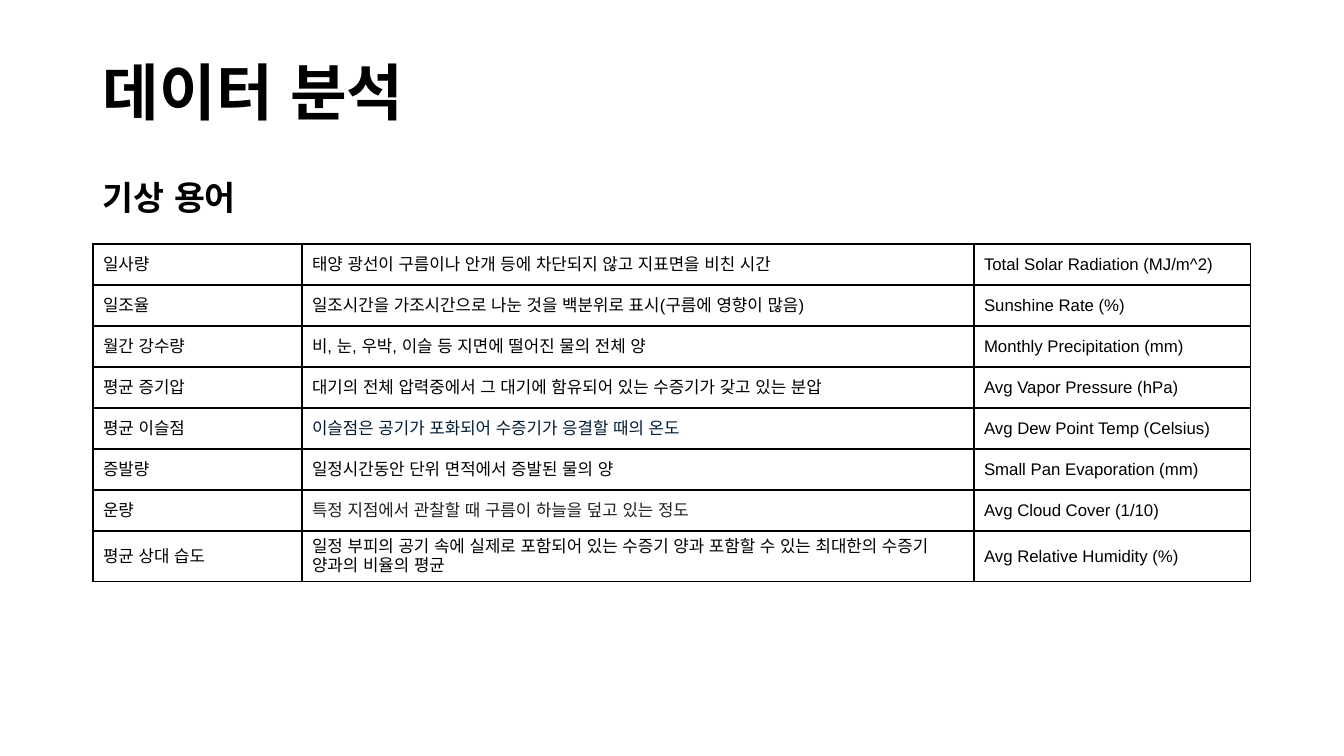
from lxml.etree import SubElement
from pptx import Presentation
from pptx.dml.color import RGBColor
from pptx.enum.lang import MSO_LANGUAGE_ID
from pptx.enum.text import MSO_ANCHOR
from pptx.oxml.ns import qn
from pptx.util import Emu, Pt

FONT = "Arial"
BLACK = RGBColor(0x00, 0x00, 0x00)
NAVY = RGBColor(0x00, 0x1D, 0x35)
CHARCOAL = RGBColor(0x20, 0x21, 0x22)

PIXELS_PER_INCH = 100.8
LEFT, CONTENT_WIDTH = 93, 1159
COLUMN_WIDTHS = (209, 672, 277)
ROW_HEIGHT = 41

WEATHER_TERMS = (
    ("일사량", "태양 광선이 구름이나 안개 등에 차단되지 않고 지표면을 비친 시간",
     "Total Solar Radiation (MJ/m^2)"),
    ("일조율", "일조시간을 가조시간으로 나눈 것을 백분위로 표시(구름에 영향이 많음)",
     "Sunshine Rate (%)"),
    ("월간 강수량", "비, 눈, 우박, 이슬 등 지면에 떨어진 물의 전체 양",
     "Monthly Precipitation (mm)"),
    ("평균 증기압", "대기의 전체 압력중에서 그 대기에 함유되어 있는 수증기가 갖고 있는 분압",
     "Avg Vapor Pressure (hPa)"),
    ("평균 이슬점", "이슬점은 공기가 포화되어 수증기가 응결할 때의 온도",
     "Avg Dew Point Temp (Celsius)"),
    ("증발량", "일정시간동안 단위 면적에서 증발된 물의 양",
     "Small Pan Evaporation (mm)"),
    ("운량", "특정 지점에서 관찰할 때 구름이 하늘을 덮고 있는 정도",
     "Avg Cloud Cover (1/10)"),
    ("평균 상대 습도",
     "일정 부피의 공기 속에 실제로 포함되어 있는 수증기 양과 포함할 수 있는 최대한의 수증기 양과의 비율의 평균",
     "Avg Relative Humidity (%)"),
)
DESCRIPTION_COLORS = {"평균 이슬점": NAVY, "운량": CHARCOAL}


def px(length):
    return Emu(round(length * 914400 / PIXELS_PER_INCH))


def write_text(frame, text, size=12, color=BLACK, bold=False, line_spacing=None):
    para = frame.paragraphs[0]
    para.line_spacing = line_spacing
    span = para.add_run()
    span.text = text
    font = span.font
    font.name, font.size, font.bold = FONT, Pt(size), bold
    font.color.rgb = color
    font.language_id = MSO_LANGUAGE_ID.KOREAN
    SubElement(span._r.get_or_add_rPr(), qn("a:ea"), typeface=FONT)


def add_heading(page, text, top, height, size, anchor):
    box = page.shapes.add_textbox(px(LEFT), px(top), px(CONTENT_WIDTH), px(height))
    frame = box.text_frame
    frame.word_wrap = True
    frame.vertical_anchor = anchor
    write_text(frame, text, size=size, bold=True, line_spacing=0.9)


def add_borders(cell):
    properties = cell._tc.get_or_add_tcPr()
    for side in ("lnL", "lnR", "lnT", "lnB"):
        line = SubElement(properties, qn(f"a:{side}"), w=str(Pt(1)))
        fill = SubElement(line, qn("a:solidFill"))
        SubElement(fill, qn("a:srgbClr"), val=str(BLACK))


def add_terms_table(page, top):
    table = page.shapes.add_table(
        len(WEATHER_TERMS), len(COLUMN_WIDTHS), px(LEFT), px(top),
        px(sum(COLUMN_WIDTHS)), px(ROW_HEIGHT * len(WEATHER_TERMS))).table
    table.first_row = table.horz_banding = False
    for column, width in zip(table.columns, COLUMN_WIDTHS):
        column.width = px(width)
    for row, term in zip(table.rows, WEATHER_TERMS):
        row.height = px(ROW_HEIGHT)
        colors = (BLACK, DESCRIPTION_COLORS.get(term[0], BLACK), BLACK)
        for cell, text, color in zip(row.cells, term, colors):
            cell.vertical_anchor = MSO_ANCHOR.MIDDLE
            add_borders(cell)
            cell.fill.background()
            write_text(cell.text_frame, text, color=color)


def main():
    deck = Presentation()
    deck.slide_width, deck.slide_height = px(1344), px(756)
    page = deck.slides.add_slide(deck.slide_layouts[6])
    add_heading(page, "데이터 분석", 40, 112, 44, MSO_ANCHOR.MIDDLE)
    add_heading(page, "기상 용어", 157, 66, 24, MSO_ANCHOR.BOTTOM)
    add_terms_table(page, 244)
    deck.save("out.pptx")


if __name__ == "__main__":
    main()
